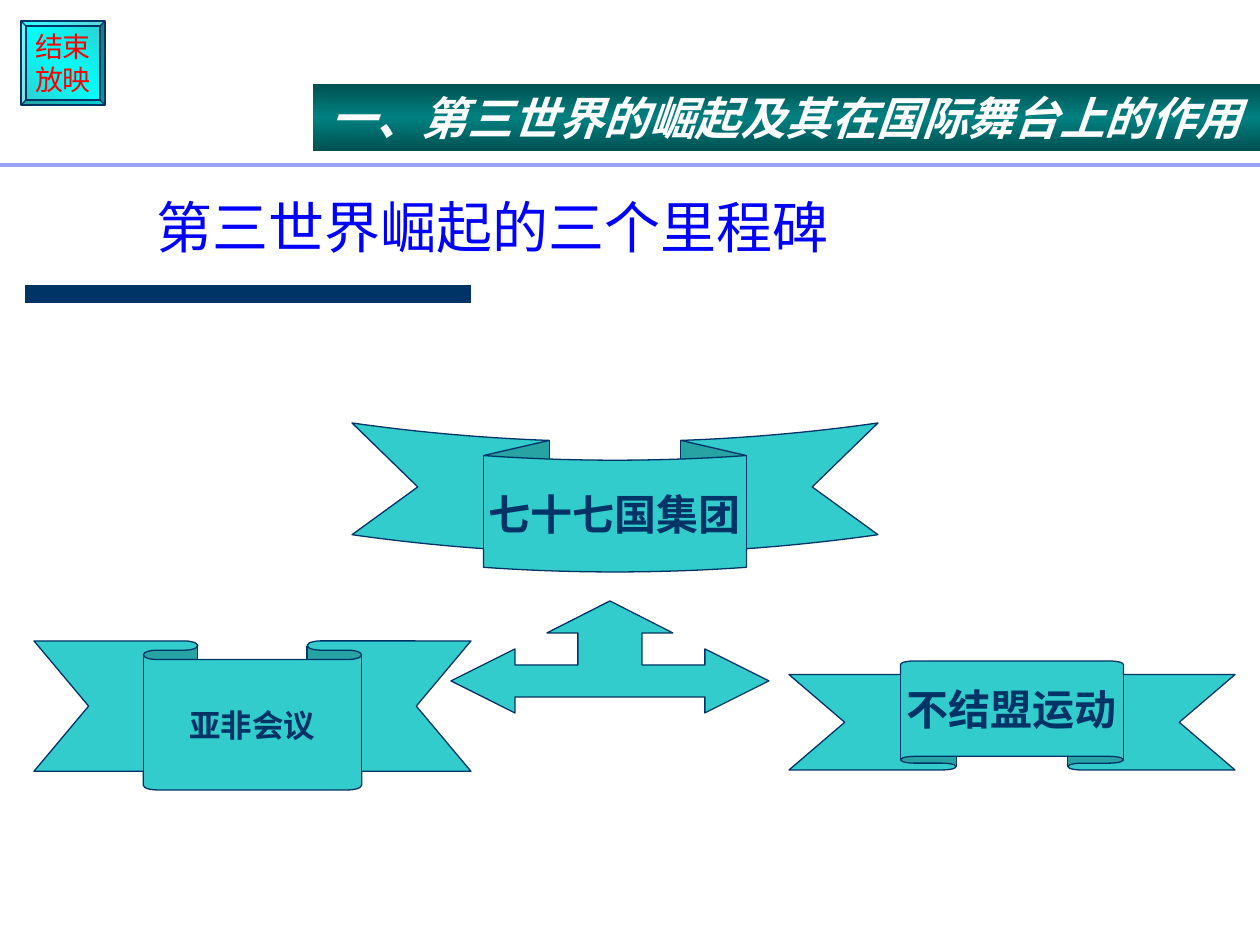
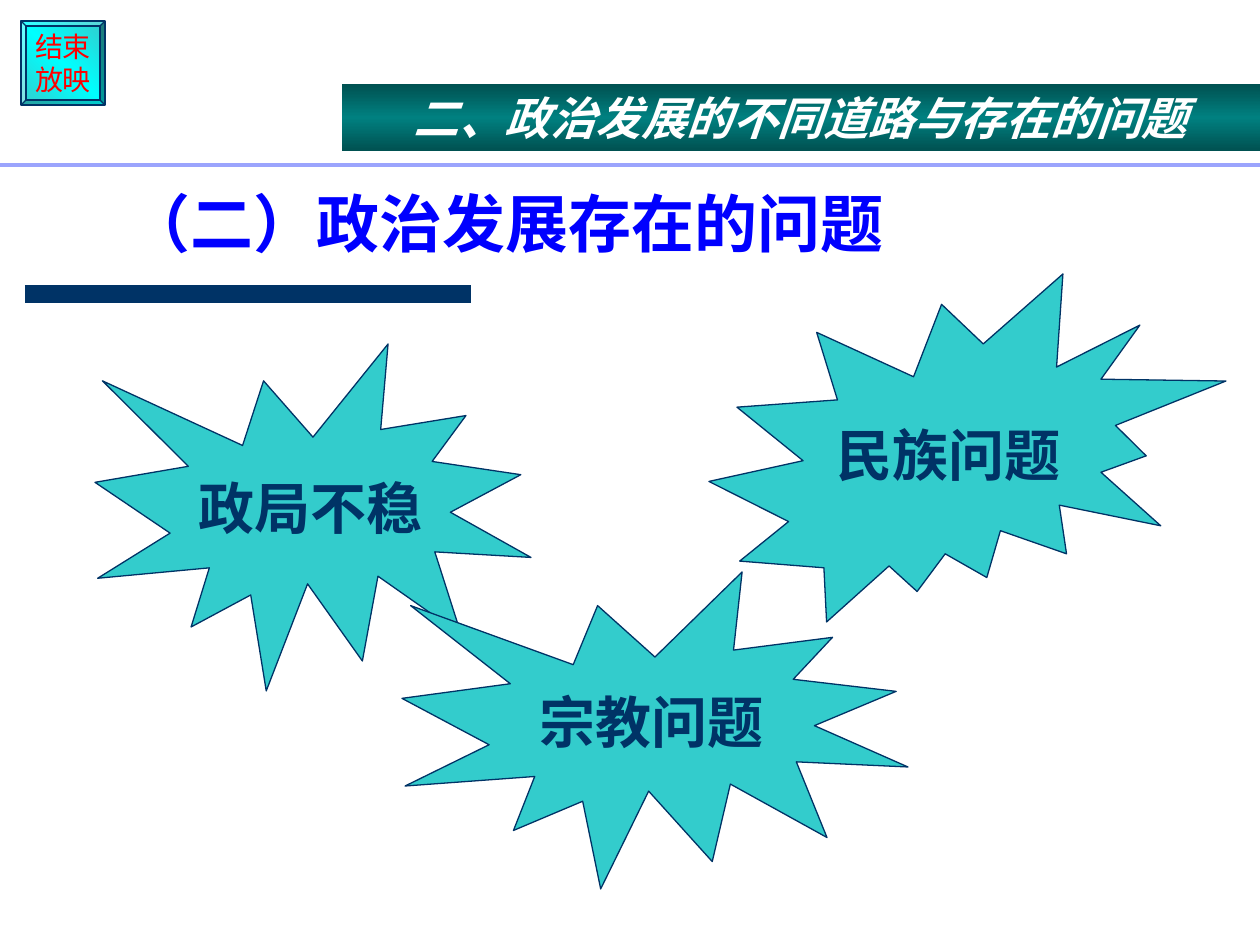
"""Build two slides on the rise and the political problems of the Third World."""
import copy
import dataclasses

import pptx
import pptx.dml.color
import pptx.enum.shapes
import pptx.enum.text
import pptx.oxml.ns
import pptx.util
from lxml import etree

PX = 7257
KIND = pptx.enum.shapes.MSO_SHAPE
ALIGN = pptx.enum.text.PP_ALIGN
ANCHOR = pptx.enum.text.MSO_ANCHOR
QN = pptx.oxml.ns.qn
RGB = pptx.dml.color.RGBColor.from_string


@dataclasses.dataclass(frozen=True)
class Theme:
    navy: str = "003366"
    teal: str = "33CCCC"
    blue: str = "0000FF"
    red: str = "FF0000"
    white: str = "FFFFFF"
    rule: str = "9BA4FD"
    glow: tuple = ("33CCCC", "00FFFF", "33CCCC")
    deep: tuple = ("005151", "008080", "005151")
    latin: str = "Arial"
    han: str = "Noto Sans CJK SC"
    key: int = 16
    small: int = 18
    label: int = 24
    band: int = 26
    head: int = 32
    large: int = 36


T = Theme()


def paint(shape, fill, line=None, angle=0):
    shape.shadow.inherit = False
    if isinstance(fill, str):
        shape.fill.solid()
        shape.fill.fore_color.rgb = RGB(fill)
    else:
        shape.fill.gradient()
        shape.fill.gradient_angle = angle
        stops = shape.element.xpath(".//a:gsLst")[0]
        stops.insert(1, copy.deepcopy(stops[0]))
        for stop, shade, spot in zip(shape.fill.gradient_stops, fill, (0, 0.5, 1)):
            stop.color.rgb = RGB(shade)
            stop.position = spot
    if line:
        shape.line.color.rgb = RGB(line)
        shape.line.width = pptx.util.Pt(0.75)
    else:
        shape.line.fill.background()


def write(shape, text, size, color, face=T.latin, bold=False, slant=False, align=ALIGN.CENTER):
    frame = shape.text_frame
    frame.text = text
    frame.word_wrap = False
    frame.vertical_anchor = ANCHOR.MIDDLE
    for para in frame.paragraphs:
        para.alignment = align
        for run in para.runs:
            font = run.font
            font.size = pptx.util.Pt(size)
            font.color.rgb = RGB(color)
            font.name = face
            font.bold = bold
            font.italic = slant
            etree.SubElement(font._element, QN("a:ea")).set("typeface", face)


deck = pptx.Presentation()
deck.slide_width, deck.slide_height = 1260 * PX, 945 * PX
base = deck.slide_layouts[5]

pages = [
    ("一、第三世界的崛起及其在国际舞台上的作用", 313,
     "第三世界崛起的三个里程碑", T.head, False, (144, 126, 1013, 137)),
    ("二、政治发展的不同道路与存在的问题", 342,
     "（二）政治发展存在的问题", T.large, True, (115, 126, 1072, 137)),
]
slides = []
for band, left, head, size, bold, box in pages:
    slide = deck.slides.add_slide(base)
    slides.append(slide)
    title = slide.shapes.title
    title.left, title.top, title.width, title.height = [n * PX for n in box]
    write(title, head, size, T.blue, T.han, bold, align=ALIGN.LEFT)
    frame = title.text_frame
    frame.word_wrap = True
    frame.auto_size = pptx.enum.text.MSO_AUTO_SIZE.NONE
    frame.vertical_anchor = ANCHOR.BOTTOM
    frame.margin_bottom = 2 * PX
    frame.paragraphs[0].line_spacing = 0.9
    strip = slide.shapes.add_shape(KIND.RECTANGLE, left * PX, 84 * PX, (1260 - left) * PX, 67 * PX)
    paint(strip, T.deep, angle=270)
    write(strip, band, T.band, T.white, T.han, True, True)

first, second = slides

shared = []
for left, right, top, color, width in [(25, 471, 294, T.navy, 10), (0, 1260, 165, T.rule, 1.75)]:
    line = first.shapes.add_connector(
        pptx.enum.shapes.MSO_CONNECTOR.STRAIGHT, left * PX, top * PX, right * PX, top * PX)
    line.line.color.rgb = RGB(color)
    line.line.width = pptx.util.Pt(width)
    etree.SubElement(line.element.spPr, QN("a:effectLst"))
    shared.append(line)
key = first.shapes.add_shape(KIND.BEVEL, 21 * PX, 21 * PX, 84 * PX, 84 * PX)
key.adjustments[0] = 0.06
paint(key, T.glow, T.navy, 225)
write(key, "结束\n放映", T.key, T.red)
shared.append(key)
for num, item in enumerate(shared, 20):
    item.element.xpath(".//p:cNvPr")[0].set("id", str(num))
    base.shapes.element.append(item.element)

labels = [
    (first, KIND.UP_RIBBON, (789, 661, 446, 109), "不结盟运动", T.label, 0.125),
    (first, KIND.DOWN_RIBBON, (34, 641, 437, 149), "亚非会议", T.small, 0.125),
    (first, KIND.CURVED_DOWN_RIBBON, (352, 423, 526, 149), "七十七国集团", T.label, 0.25),
    (second, KIND.EXPLOSION1, (95, 344, 436, 347), "政局不稳", T.head, None),
    (second, KIND.EXPLOSION2, (709, 274, 517, 348), "民族问题", T.head, None),
    (second, KIND.EXPLOSION1, (402, 572, 506, 317), "宗教问题", T.head, None),
]
for slide, kind, box, text, size, fold in labels:
    shape = slide.shapes.add_shape(kind, *[n * PX for n in box])
    if fold:
        shape.adjustments[0] = fold
    paint(shape, T.teal, T.navy)
    write(shape, text, size, T.navy, bold=True)

half = [(673, 633), (642, 633), (642, 665), (705, 665), (705, 649),
        (769, 681), (705, 713), (705, 697)]
pen = first.shapes.build_freeform(610, 601, scale=PX)
pen.add_line_segments(half + [(1220 - x, y) for x, y in reversed(half)], close=True)
paint(pen.convert_to_shape(), T.teal, T.navy)

deck.save("out.pptx")
